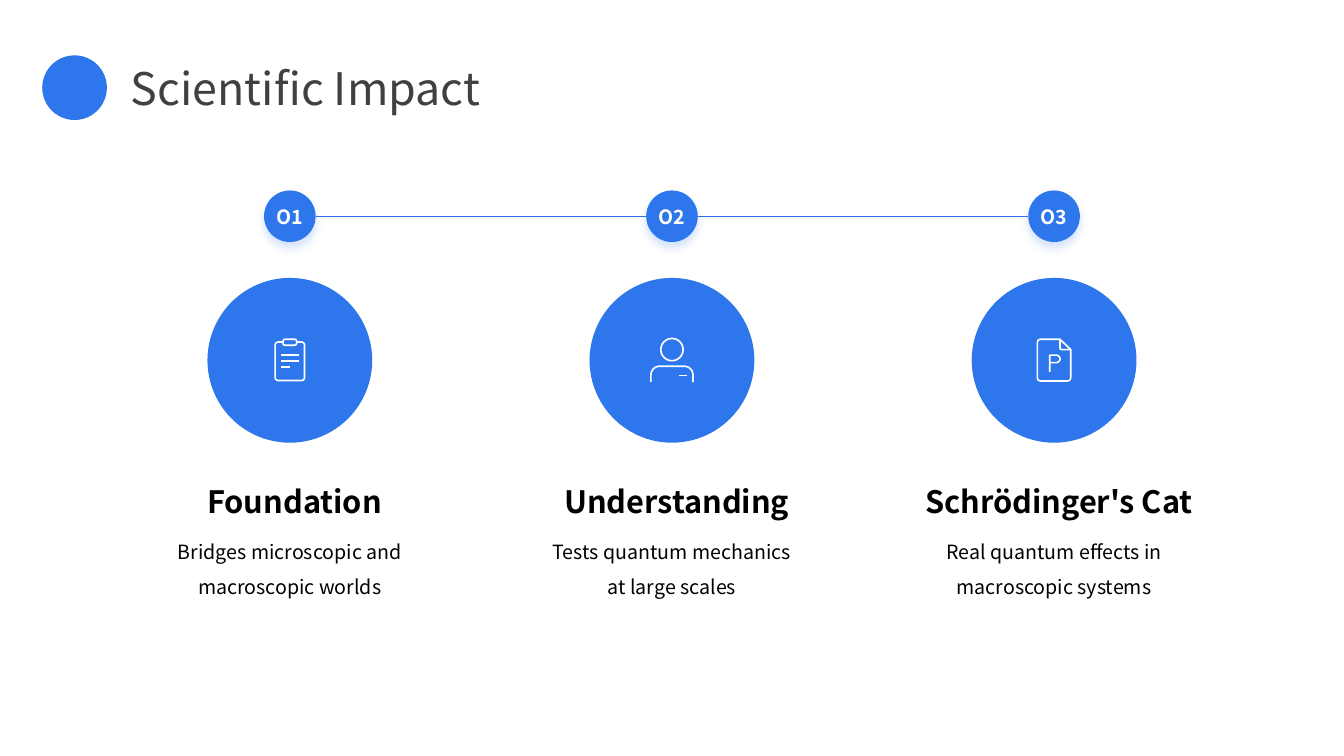
"""Build the "Scientific Impact" slide: three numbered columns on a timeline."""
from lxml.etree import SubElement
from pptx import Presentation
from pptx.dml.color import RGBColor
from pptx.enum.shapes import MSO_CONNECTOR, MSO_SHAPE
from pptx.enum.text import MSO_ANCHOR, MSO_AUTO_SIZE, PP_ALIGN
from pptx.oxml.ns import qn
from pptx.util import Cm, Pt

TITLE = "Scientific Impact"
FONT = "Noto Sans CJK SC"
COLORS = {"accent": "2E76EB", "title": "404040", "text": "000000", "white": "FFFFFF"}

CLIPBOARD = {
    "closed": [
        [(-0.37, -0.46, 0.08), (0.37, -0.46, 0.08), (0.37, 0.51, 0.08), (-0.37, 0.51, 0.08)],
        [(-0.17, -0.53, 0.05), (0.17, -0.53, 0.05), (0.17, -0.38, 0.05), (-0.17, -0.38, 0.05)],
    ],
    "open": [],
    "rules": [(-0.22, 0.24, -0.14), (-0.22, 0.24, 0.01), (-0.22, 0.01, 0.17)],
}
PERSON = {
    "closed": [[(-0.28, -0.55, 0.28), (0.28, -0.55, 0.28), (0.28, 0.01, 0.28), (-0.28, 0.01, 0.28)]],
    "open": [[(-0.53, 0.55, 0), (-0.53, 0.15, 0.22), (0.53, 0.15, 0.22), (0.53, 0.55, 0)]],
    "rules": [(0.17, 0.39, 0.38)],
}
DOCUMENT = {
    "closed": [[(-0.42, -0.53, 0.08), (0.15, -0.53, 0), (0.42, -0.27, 0),
                (0.42, 0.52, 0.08), (-0.42, 0.52, 0.08)]],
    "open": [
        [(0.15, -0.53, 0), (0.15, -0.27, 0.04), (0.42, -0.27, 0)],
        [(-0.11, 0.29, 0), (-0.11, -0.13, 0), (0.15, -0.13, 0.1), (0.15, 0.06, 0.1), (-0.11, 0.06, 0)],
    ],
    "rules": [],
}
COLUMNS = [
    ("O1", "Foundation", "Bridges microscopic and macroscopic worlds", CLIPBOARD),
    ("O2", "Understanding", "Tests quantum mechanics at large scales", PERSON),
    ("O3", "Schrödinger's Cat", "Real quantum effects in macroscopic systems", DOCUMENT),
]

SLIDE_W, SLIDE_H = 33.87, 19.05
COLUMN_STEP = 9.63
BADGE_Y, BADGE_SIZE = 5.45, 1.3
DISC_Y, DISC_SIZE = 9.08, 4.1
HEADING_SHIFT = 0.12
ICON_STROKE = 1.15
CURVE_STEPS = 10
CIRCLE_RATIO = 0.5523


def color(key):
    return RGBColor.from_string(COLORS[key])


def write(frame, text, size, key, bold=False, align=PP_ALIGN.CENTER):
    frame.text = text
    paragraph = frame.paragraphs[0]
    paragraph.alignment = align
    font = paragraph.runs[0].font
    font.name, font.size, font.bold = FONT, Pt(size), bold
    font.color.rgb = color(key)
    return paragraph


def add_text(slide, left, top, width, height, *content, **style):
    frame = slide.shapes.add_textbox(Cm(left), Cm(top), Cm(width), Cm(height)).text_frame
    frame.word_wrap = True
    frame.auto_size = MSO_AUTO_SIZE.SHAPE_TO_FIT_TEXT
    return write(frame, *content, **style)


def add_circle(slide, x, y, size):
    circle = slide.shapes.add_shape(
        MSO_SHAPE.OVAL, Cm(x - size / 2), Cm(y - size / 2), Cm(size), Cm(size))
    circle.shadow.inherit = False
    circle.fill.solid()
    circle.fill.fore_color.rgb = color("accent")
    circle.line.fill.background()
    return circle


def add_rule(slide, x1, x2, y, key, weight):
    rule = slide.shapes.add_connector(MSO_CONNECTOR.STRAIGHT, Cm(x1), Cm(y), Cm(x2), Cm(y))
    rule.line.color.rgb = color(key)
    rule.line.width = Pt(weight)
    SubElement(rule._element.spPr, qn("a:effectLst"))


def add_glow(badge):
    effects = badge._element.spPr.find(qn("a:effectLst"))
    glow = SubElement(effects, qn("a:outerShdw"), blurRad=str(Pt(6)), dist=str(Pt(4)),
                      dir="5400000", algn="t", rotWithShape="0")
    tint = SubElement(glow, qn("a:srgbClr"), val=COLORS["accent"])
    SubElement(tint, qn("a:alpha"), val="20000")


def toward(start, end, distance):
    dx, dy = end[0] - start[0], end[1] - start[1]
    share = distance / (dx * dx + dy * dy) ** 0.5
    return start[0] + dx * share, start[1] + dy * share


def round_corners(corners):
    points = []
    for i, (x, y, radius) in enumerate(corners):
        if not radius:
            points.append((x, y))
            continue
        enter = toward((x, y), corners[i - 1], radius)
        leave = toward((x, y), corners[(i + 1) % len(corners)], radius)
        pull_in = toward(enter, (x, y), radius * CIRCLE_RATIO)
        pull_out = toward(leave, (x, y), radius * CIRCLE_RATIO)
        for step in range(CURVE_STEPS + 1):
            t = step / CURVE_STEPS
            weights = ((1 - t) ** 3, 3 * t * (1 - t) ** 2, 3 * t * t * (1 - t), t ** 3)
            points.append(tuple(
                sum(w * p[axis] for w, p in zip(weights, (enter, pull_in, pull_out, leave)))
                for axis in (0, 1)))
    return points


def add_outline(slide, x, y, corners, closed):
    points = [(Cm(x + dx), Cm(y + dy)) for dx, dy in round_corners(corners)]
    builder = slide.shapes.build_freeform(*points[0])
    builder.add_line_segments(points[1:], close=closed)
    outline = builder.convert_to_shape()
    outline.shadow.inherit = False
    if closed:
        outline.fill.solid()
        outline.fill.fore_color.rgb = color("accent")
    else:
        outline.fill.background()
    outline.line.color.rgb = color("white")
    outline.line.width = Pt(ICON_STROKE)


def add_icon(slide, x, y, icon):
    for kind in ("closed", "open"):
        for corners in icon[kind]:
            add_outline(slide, x, y, corners, kind == "closed")
    for x1, x2, dy in icon["rules"]:
        add_rule(slide, x + x1, x + x2, y + dy, "white", ICON_STROKE)


def add_column(slide, x, number, heading, detail, icon):
    badge = add_circle(slide, x, BADGE_Y, BADGE_SIZE)
    add_glow(badge)
    badge.text_frame.word_wrap = False
    badge.text_frame.vertical_anchor = MSO_ANCHOR.MIDDLE
    write(badge.text_frame, number, 14, "white", bold=True)

    disc = add_circle(slide, x, DISC_Y, DISC_SIZE)
    disc.line.color.rgb = color("accent")
    disc.line.width = Pt(1.5)
    add_icon(slide, x, DISC_Y, icon)

    add_text(slide, x + HEADING_SHIFT - 3.82, 12.04, 7.64, 1.19, heading, 22, "text", bold=True)
    body = add_text(slide, x - 3.37, 13.18, 6.74, 2.84, detail, 14, "text")
    body.line_spacing = 1.5
    body.space_before = Pt(10)


def main():
    deck = Presentation()
    deck.slide_width, deck.slide_height = Cm(SLIDE_W), Cm(SLIDE_H)
    slide = deck.slides.add_slide(deck.slide_layouts[6])

    add_circle(slide, 1.88, 2.21, 1.63)
    add_text(slide, 3.05, 1.4, 27.43, 1.63, TITLE, 32, "title", align=PP_ALIGN.LEFT)

    centers = [SLIDE_W / 2 + (i - 1) * COLUMN_STEP for i in range(len(COLUMNS))]
    add_rule(slide, centers[0] + BADGE_SIZE / 2, centers[-1] - BADGE_SIZE / 2,
             BADGE_Y, "accent", 0.5)
    for x, column in zip(centers, COLUMNS):
        add_column(slide, x, *column)
    deck.save("out.pptx")


if __name__ == "__main__":
    main()
